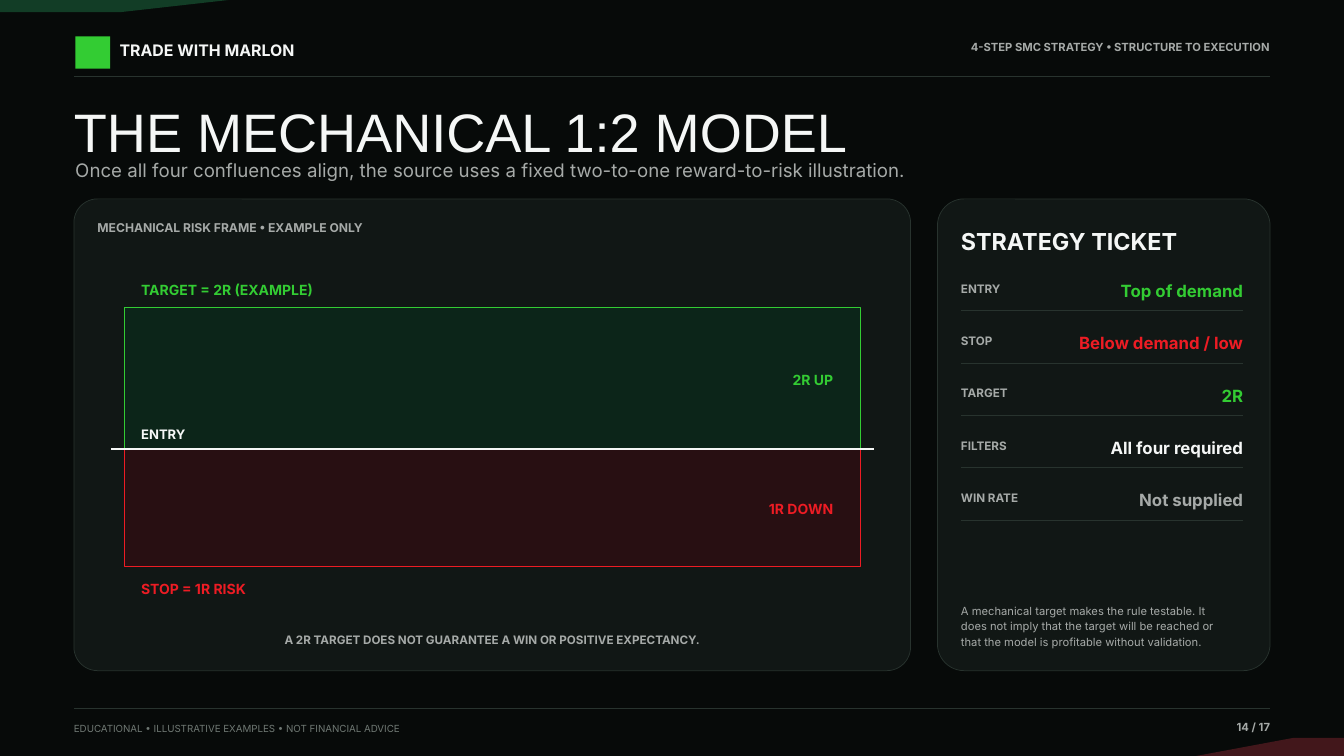
import pptx
import pptx.dml.color
import pptx.enum.shapes
import pptx.enum.text
import pptx.oxml.ns
import pptx.util
from lxml import etree

PX = 9144  # EMU in one px, 100 px to the inch
WIDTH, HEIGHT = 2000, 1125
LEFT, RIGHT = 110, 1890

INK, PANEL, RULE = "070A09", "111715", "28332E"
WHITE, GREY, DIM = "F5F7F6", "A6AAA8", "6F7873"
GREEN, RED = "33CC33", "ED1C24"
DARK_GREEN, DARK_RED = "0C2519", "280F12"

ALIGN = pptx.enum.text.PP_ALIGN
SHAPE = pptx.enum.shapes.MSO_SHAPE


def color(hex_string):
    return pptx.dml.color.RGBColor.from_string(hex_string)


def px(*lengths):
    return [length * PX for length in lengths]


def paint(shape, fill, line=None, weight=0.8):
    shape.shadow.inherit = False
    shape.fill.solid()
    shape.fill.fore_color.rgb = color(fill)
    if line:
        shape.line.color.rgb = color(line)
        shape.line.width = pptx.util.Pt(weight)
    else:
        shape.line.fill.background()


def add_block(slide, kind, box, fill, line=None, weight=0.8, corner=None):
    block = slide.shapes.add_shape(kind, *px(*box))
    if corner is not None:
        block.adjustments[0] = corner
    paint(block, fill, line, weight)


def add_corner(slide, points, fill):
    builder = slide.shapes.build_freeform(*points[0], scale=PX)
    builder.add_line_segments(points[1:], close=True)
    paint(builder.convert_to_shape(), fill)


def add_rule(slide, x1, x2, y, hex_string=RULE, weight=0.8):
    rule = slide.shapes.add_connector(
        pptx.enum.shapes.MSO_CONNECTOR.STRAIGHT, *px(x1, y, x2, y))
    rule.line.color.rgb = color(hex_string)
    rule.line.width = pptx.util.Pt(weight)
    properties = rule._element.spPr
    etree.SubElement(properties, pptx.oxml.ns.qn("a:effectLst"))


def write(holder, text, size, hex_string, bold=True, align=ALIGN.LEFT,
          font="Inter", spacing=1.18):
    """Fill a text box or placeholder, one paragraph for each line of text."""
    frame = holder.text_frame
    frame.margin_left = frame.margin_right = 0
    frame.margin_top = frame.margin_bottom = 0
    frame.word_wrap = True
    frame.auto_size = pptx.enum.text.MSO_AUTO_SIZE.NONE
    frame.vertical_anchor = pptx.enum.text.MSO_ANCHOR.TOP
    frame.text = text
    for paragraph in frame.paragraphs:
        paragraph.alignment = align
        paragraph.line_spacing = spacing
        paragraph.font.name = font
        paragraph.font.size = pptx.util.Pt(size)
        paragraph.font.bold = bold
        paragraph.font.color.rgb = color(hex_string)


def add_text(slide, box, text, size, hex_string, **style):
    write(slide.shapes.add_textbox(*px(*box)), text, size, hex_string, **style)


def add_backdrop(slide):
    slide.background.fill.solid()
    slide.background.fill.fore_color.rgb = color(INK)
    add_corner(slide, [(0, 0), (340, 0), (180, 18), (0, 18)], "123D26")
    add_corner(slide, [(WIDTH, HEIGHT), (1780, HEIGHT), (1925, 1098),
                       (WIDTH, 1098)], "42171B")


def add_header(slide, left, top, right):
    add_block(slide, SHAPE.RECTANGLE, (left + 2, top, 52, 48), GREEN)
    add_text(slide, (left + 68, top + 2, 390, 34), "TRADE WITH MARLON", 17, WHITE)
    add_text(slide, (right - 490, top + 2, 490, 32),
             "4-STEP SMC STRATEGY • STRUCTURE TO EXECUTION", 12, GREY,
             align=ALIGN.RIGHT)
    add_rule(slide, left, right, top + 59)


def add_footer(slide, left, top, right):
    add_rule(slide, left, right, top)
    add_text(slide, (left, top + 18, 800, 25),
             "EDUCATIONAL • ILLUSTRATIVE EXAMPLES • NOT FINANCIAL ADVICE",
             10.5, DIM, bold=False)
    add_text(slide, (right - 170, top + 14, 170, 28), "14 / 17", 12, GREY,
             align=ALIGN.RIGHT)


def add_heading(slide, left, top, width):
    title = slide.shapes.title
    title.left, title.top, title.width, title.height = px(left, top, width, 88)
    write(title, "THE MECHANICAL 1:2 MODEL", 58, WHITE, bold=False,
          font="Arial", spacing=1.0)
    add_text(slide, (left + 2, top + 84, width - 60, 43),
             "Once all four confluences align, the source uses a fixed "
             "two-to-one reward-to-risk illustration.", 20, GREY, bold=False)


def add_risk_frame(slide, left, top, width, height):
    add_block(slide, SHAPE.ROUNDED_RECTANGLE, (left, top, width, height),
              PANEL, RULE, corner=0.05)
    add_text(slide, (left + 35, top + 28, width - 70, 32),
             "MECHANICAL RISK FRAME • EXAMPLE ONLY", 13, GREY)

    zone_left, zone_width = left + 75, width - 150
    entry = top + 372
    reward, risk = 211, 175
    add_block(slide, SHAPE.RECTANGLE, (zone_left, entry, zone_width, risk),
              DARK_RED, RED, 0.9)
    add_block(slide, SHAPE.RECTANGLE,
              (zone_left, entry - reward, zone_width, reward),
              DARK_GREEN, GREEN, 0.9)
    add_rule(slide, zone_left - 20, zone_left + zone_width + 20, entry, WHITE, 1.4)

    for offset, text, size, hex_string in (
            (-253, "TARGET = 2R (EXAMPLE)", 15, GREEN),
            (-38, "ENTRY", 14, WHITE),
            (191, "STOP = 1R RISK", 15, RED)):
        add_text(slide, (zone_left + 25, entry + offset, 420, 30),
                 text, size, hex_string)
    for offset, text, hex_string in ((-120, "2R UP", GREEN), (73, "1R DOWN", RED)):
        add_text(slide, (zone_left + zone_width - 250, entry + offset, 210, 32),
                 text, 15, hex_string, align=ALIGN.RIGHT)
    add_text(slide, (zone_left, top + height - 60, zone_width, 30),
             "A 2R TARGET DOES NOT GUARANTEE A WIN OR POSITIVE EXPECTANCY.",
             12.5, GREY, align=ALIGN.CENTER)


def add_ticket(slide, left, top, width, height):
    add_block(slide, SHAPE.ROUNDED_RECTANGLE, (left, top, width, height),
              PANEL, RULE, corner=0.08)
    inner_left, inner_right = left + 35, left + width - 40
    add_text(slide, (inner_left, top + 34, width - 70, 55),
             "STRATEGY TICKET", 25, WHITE)

    rows = (("ENTRY", "Top of demand", GREEN),
            ("STOP", "Below demand / low", RED),
            ("TARGET", "2R", GREEN),
            ("FILTERS", "All four required", WHITE),
            ("WIN RATE", "Not supplied", GREY))
    for index, (label, value, hex_string) in enumerate(rows):
        row_top = top + 116 + 78 * index
        add_text(slide, (inner_left, row_top + 3, 145, 28), label, 12.5, GREY)
        add_text(slide, (inner_right - 270, row_top, 270, 36), value, 18,
                 hex_string, align=ALIGN.RIGHT)
        add_rule(slide, inner_left, inner_right, row_top + 50, weight=0.7)

    add_text(slide, (inner_left, top + height - 103, width - 80, 68),
             "A mechanical target makes the rule testable. It\n"
             "does not imply that the target will be reached or\n"
             "that the model is profitable without validation.",
             12, GREY, bold=False)


def main():
    deck = pptx.Presentation()
    deck.slide_width, deck.slide_height = px(WIDTH, HEIGHT)
    slide = deck.slides.add_slide(deck.slide_layouts[5])
    add_backdrop(slide)
    add_header(slide, LEFT, 54, RIGHT)
    add_heading(slide, LEFT, 146, RIGHT - LEFT)
    add_risk_frame(slide, LEFT, 296, 1245, 702)
    add_ticket(slide, 1395, 296, 495, 702)
    add_footer(slide, LEFT, 1054, RIGHT)
    deck.save("out.pptx")


if __name__ == "__main__":
    main()
